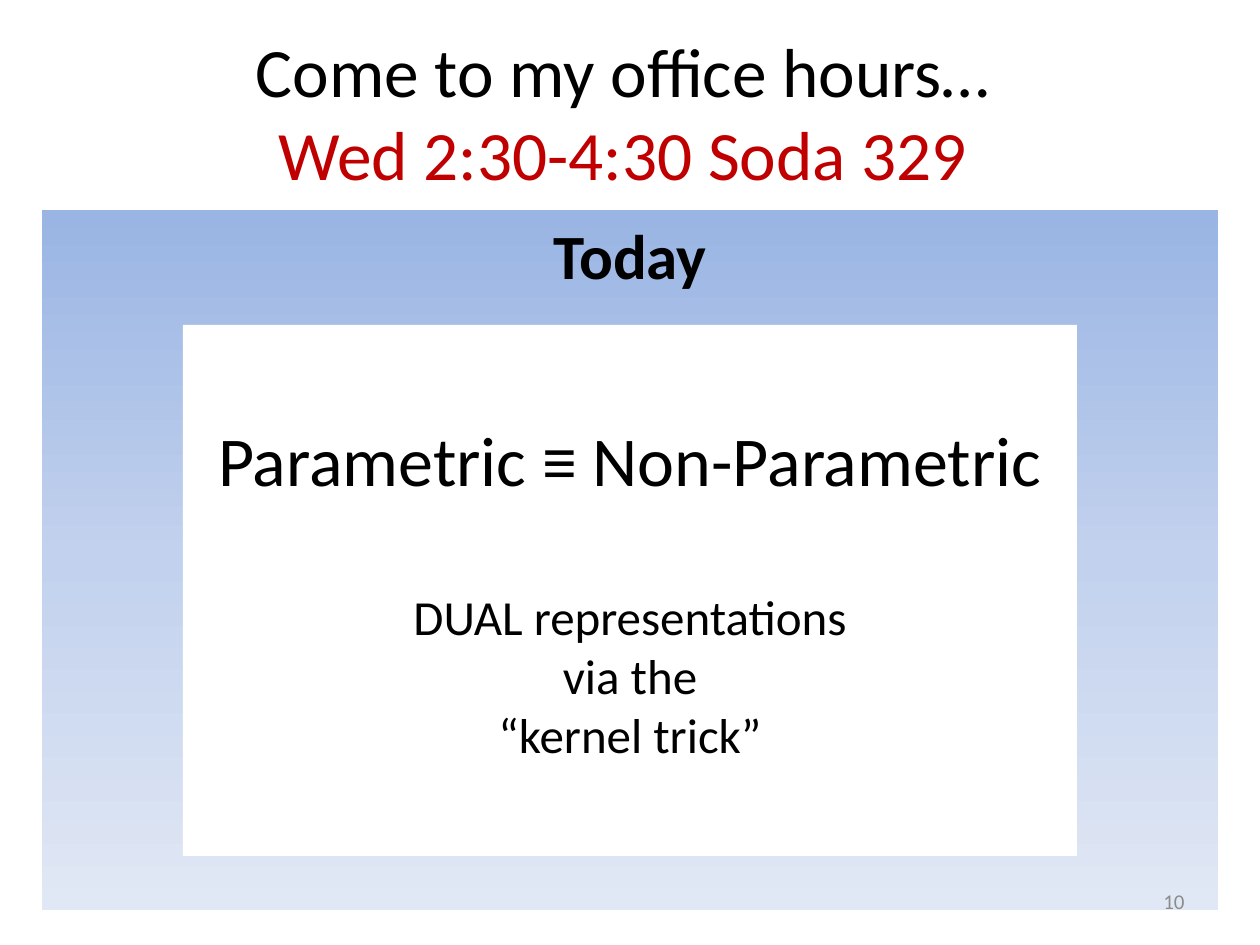
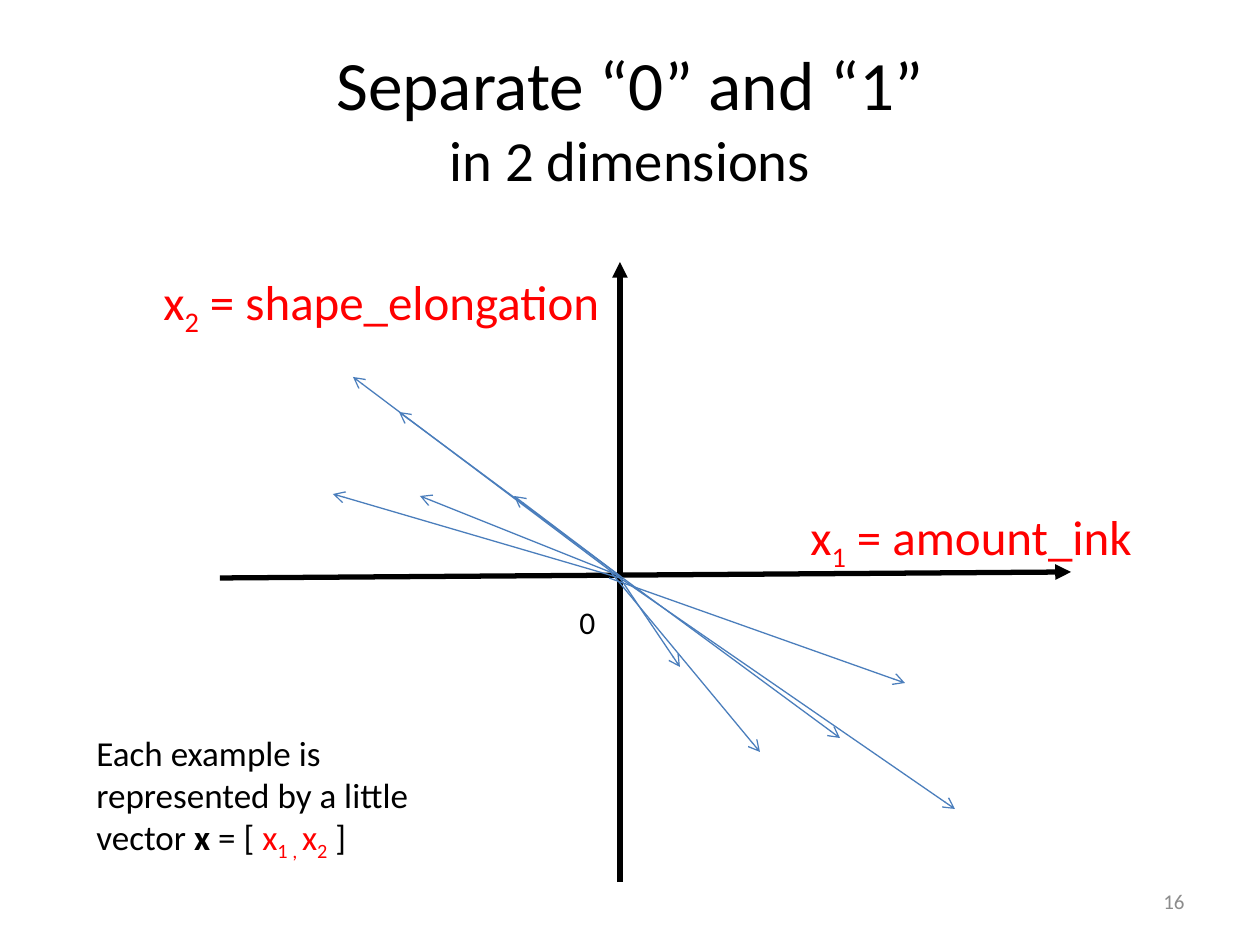
from copy import deepcopy

from pptx import Presentation
from pptx.dml.color import RGBColor
from pptx.enum.shapes import MSO_CONNECTOR, MSO_SHAPE
from pptx.enum.text import MSO_ANCHOR, PP_ALIGN
from pptx.oxml.ns import qn
from pptx.util import Emu, Pt
from lxml import etree

LEFT, CENTER, RIGHT = PP_ALIGN.LEFT, PP_ALIGN.CENTER, PP_ALIGN.RIGHT
TOP, MIDDLE = MSO_ANCHOR.TOP, MSO_ANCHOR.MIDDLE
RECT, STRAIGHT = MSO_SHAPE.RECTANGLE, MSO_CONNECTOR.STRAIGHT

FONT = "Calibri"
PX = 914400 / 126
COLORS = {
    "text": "000000",
    "white": "FFFFFF",
    "accent": "C00000",
    "feature": "FF0000",
    "number": "8C8C8C",
    "vector": "4B7EBC",
    "panel_top": "9AB5E4",
    "panel_mid": "C2D1ED",
    "panel_end": "E1E8F5",
}
NUMBER_BOX = (903, 876, 294, 50)


def px(n):
    return Emu(round(n * PX))


def rgb(name):
    return RGBColor.from_string(COLORS[name])


def add_run(p, text, size=18, color="text", bold=False, sub=False):
    r = p.add_run()
    r.text = text
    r.font.name = FONT
    r.font.size = Pt(size)
    r.font.bold = bold
    r.font.color.rgb = rgb(color)
    if sub:
        r.font._element.set("baseline", "-25000")


def write(p, runs, align=LEFT, before=0, **fmt):
    p.alignment = align
    p.space_before = Pt(before)
    for text, own in runs:
        add_run(p, text, **{**fmt, **own})


def add_text(s, box, runs, anchor=TOP, wrap=True, **fmt):
    tf = s.shapes.add_textbox(*map(px, box)).text_frame
    tf.word_wrap = wrap
    tf.vertical_anchor = anchor
    write(tf.paragraphs[0], runs, **fmt)


def add_rect(s, box):
    sp = s.shapes.add_shape(RECT, *map(px, box))
    sp.shadow.inherit = False
    sp.line.fill.background()
    sp.text_frame.word_wrap = True
    sp.text_frame.vertical_anchor = TOP
    return sp


def add_arrow(s, start, end, color, width, head):
    line = s.shapes.add_connector(STRAIGHT, *map(px, (*start, *end)))
    line.line.color.rgb = rgb(color)
    line.line.width = Pt(width)
    etree.SubElement(line.line._get_or_add_ln(), qn("a:tailEnd"), type=head)
    etree.SubElement(line._element.spPr, qn("a:effectLst"))


def add_slide(prs, number, title_box, first, second, **second_fmt):
    s = prs.slides.add_slide(prs.slide_layouts[5])
    title = s.shapes.title
    title.left, title.top, title.width, title.height = map(px, title_box)
    tf = title.text_frame
    tf.vertical_anchor = MIDDLE
    p = tf.paragraphs[0]
    write(p, [(first, {})], align=CENTER, size=39.6)
    p.add_line_break()
    add_run(p, second, **{"size": 39.6, **second_fmt})
    add_text(s, NUMBER_BOX, [(number, {})], anchor=MIDDLE, align=RIGHT,
             size=12, color="number")
    return s


def fill_gradient(sp, names):
    fill = sp.fill
    fill.gradient()
    fill.gradient_angle = 270
    gs_list = sp._element.spPr.find(qn("a:gradFill")).find(qn("a:gsLst"))
    while len(gs_list) < len(names):
        gs_list.append(deepcopy(gs_list[0]))
    for i, (stop, name) in enumerate(zip(fill.gradient_stops, names)):
        stop.color.rgb = rgb(name)
        stop.position = i / (len(names) - 1)


def today_panel(s, box):
    x, y, w, h = box
    panel = add_rect(s, box)
    fill_gradient(panel, ["panel_top", "panel_mid", "panel_end"])
    write(panel.text_frame.paragraphs[0], [("Today", {})], align=CENTER,
          size=36, bold=True)

    card = add_rect(s, (x + 141, y + 115, w - 282, h - 169))
    card.fill.solid()
    card.fill.fore_color.rgb = rgb("white")
    tf = card.text_frame
    tf.margin_top = px(92)
    write(tf.paragraphs[0], [("Parametric ≡ Non-Parametric", {})],
          align=CENTER, size=40)
    lines = ["DUAL representations", "via the", "“kernel trick”"]
    for i, text in enumerate(lines):
        write(tf.add_paragraph(), [(text, {})], align=CENTER,
              before=0 if i else 49, size=28)


def vector_plot(s, box):
    x, y, w, h = box
    ox, oy = x + 400, y + 316
    add_arrow(s, (x, oy), (x + w, oy - 6), "text", 3, "triangle")
    add_arrow(s, (ox, y + h), (ox, y), "text", 3, "triangle")
    add_text(s, (ox - 53, oy + 19, 42, 50), [("0", {})], wrap=False)

    vectors = [
        ((0, 0), (60, 89)),
        ((-11, -8), (140, 174)),
        ((0, -2), (220, 160)),
        ((-11, 0), (285, 105)),
        ((0, 0), (335, 231)),
        ((0, -2), (-106, -82)),
        ((0, -2), (-200, -82)),
        ((0, -2), (-221, -166)),
        ((0, 0), (-267, -201)),
        ((0, 0), (-287, -84)),
    ]
    for (ax, ay), (bx, by) in vectors:
        add_arrow(s, (ox + ax, oy + ay), (ox + bx, oy + by),
                  "vector", 0.75, "arrow")

    labels = [
        ((ox + 178, oy - 78, 353, 72), "1", "amount_ink"),
        ((ox - 469, y + 3, 469, 72), "2", "shape_elongation"),
    ]
    for label_box, index, feature in labels:
        runs = [("x", {}), (index, {"sub": True}), (f" = {feature}", {})]
        add_text(s, label_box, runs, wrap=False, size=28, color="feature")


def vector_note(s, box):
    red = {"color": "feature"}
    red_sub = {"color": "feature", "sub": True}
    add_text(s, box, [
        ("Each example is represented by a little vector ", {}),
        ("x", {"bold": True}),
        (" = [ ", {}),
        ("x", red),
        ("1 , ", red_sub),
        ("x", red),
        ("2", red_sub),
        (" ]", {}),
    ], size=20)


def main():
    prs = Presentation()
    prs.slide_width, prs.slide_height = px(1260), px(945)

    s = add_slide(prs, "10", (52, 32, 1142, 158), "Come to my office hours…",
                  "Wed 2:30-4:30 Soda 329", color="accent")
    today_panel(s, (42, 210, 1176, 700))
    number = s.shapes[1]._element
    number.getparent().append(number)

    s = add_slide(prs, "16", (63, 38, 1134, 158), "Separate “0” and “1”",
                  "in 2 dimensions", size=32.4)
    vector_plot(s, (220, 262, 851, 620))
    vector_note(s, (84, 725, 392, 140))

    prs.save("out.pptx")


if __name__ == "__main__":
    main()
